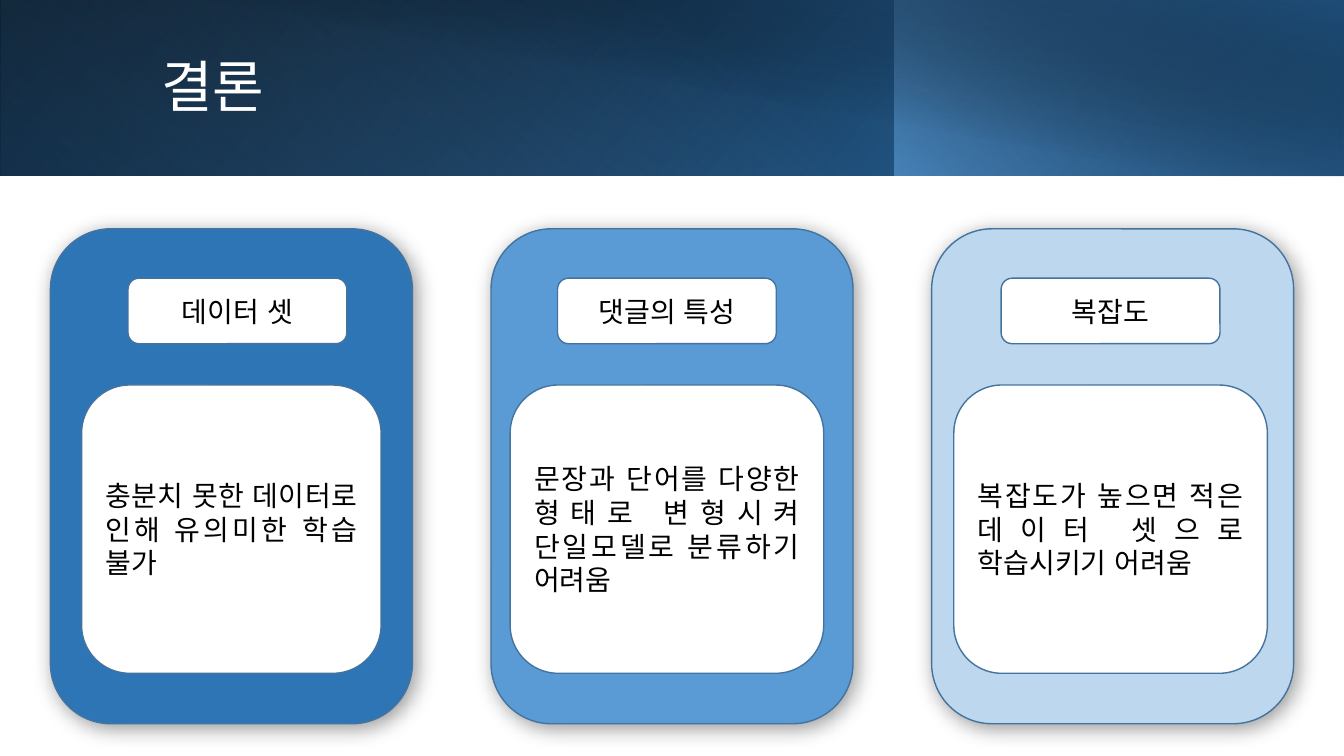
from dataclasses import dataclass

from lxml.etree import SubElement
from pptx import Presentation
from pptx.dml.color import RGBColor
from pptx.enum.lang import MSO_LANGUAGE_ID
from pptx.enum.shapes import MSO_SHAPE
from pptx.enum.text import MSO_ANCHOR, PP_ALIGN
from pptx.oxml import parse_xml
from pptx.oxml.ns import nsdecls, qn
from pptx.util import Inches, Pt


@dataclass(frozen=True)
class Theme:
    font: str = "Noto Sans CJK KR"
    title_size: int = 40
    body_size: int = 20
    white: str = "FFFFFF"
    black: str = "000000"
    outline: str = "43739E"
    navy: str = "1F4E79"
    deep: str = "2E75B6"
    sky: str = "5B9BD5"
    pale: str = "BDD7EE"


class ConclusionSlide:
    def __init__(self, slide, theme):
        self.slide = slide
        self.theme = theme

    def add_text(self, frame, text, size, color, align):
        """Fill a text frame with one styled run."""
        frame.word_wrap = True
        frame.vertical_anchor = MSO_ANCHOR.MIDDLE
        paragraph = frame.paragraphs[0]
        paragraph.alignment = align
        run = paragraph.add_run()
        run.text = text
        run.font.size = Pt(size)
        run.font.color.rgb = RGBColor.from_string(color)
        run.font.name = self.theme.font
        run.font.language_id = MSO_LANGUAGE_ID.KOREAN
        SubElement(run.font._element, qn("a:ea"), typeface=self.theme.font)
        return paragraph

    def title(self, text, box):
        holder = self.slide.shapes.add_textbox(*map(Inches, box))
        paragraph = self.add_text(holder.text_frame, text, self.theme.title_size,
                                  self.theme.white, PP_ALIGN.LEFT)
        paragraph.line_spacing = 0.9

    def gradient_band(self, box, stops, angle, flip=True, rotation=0):
        """Draw a borderless band; stops are (position %, colour, opacity %)."""
        band = self.slide.shapes.add_shape(MSO_SHAPE.RECTANGLE, *map(Inches, box))
        band.shadow.inherit = False
        band.line.fill.background()
        band.rotation = rotation
        properties = band._element.spPr
        if flip:
            properties.find(qn("a:xfrm")).set("flipH", "1")
        stop_xml = "".join(
            f'<a:gs pos="{position * 1000}"><a:srgbClr val="{color}">'
            f'<a:alpha val="{opacity * 1000}"/></a:srgbClr></a:gs>'
            for position, color, opacity in stops)
        properties.find(qn("a:prstGeom")).addnext(parse_xml(
            f'<a:gradFill {nsdecls("a")} rotWithShape="1"><a:gsLst>{stop_xml}</a:gsLst>'
            f'<a:lin ang="{angle * 60000}" scaled="0"/></a:gradFill>'))

    def rounded(self, box, fill):
        panel = self.slide.shapes.add_shape(MSO_SHAPE.ROUNDED_RECTANGLE, *map(Inches, box))
        panel.shadow.inherit = False
        panel.fill.solid()
        panel.fill.fore_color.rgb = RGBColor.from_string(fill)
        panel.line.color.rgb = RGBColor.from_string(self.theme.outline)
        panel.line.width = Pt(1)
        return panel

    def card(self, box, fill):
        """Draw a rounded card with a soft shadow to the lower right."""
        effects = self.rounded(box, fill)._element.spPr.find(qn("a:effectLst"))
        effects.append(parse_xml(
            f'<a:outerShdw {nsdecls("a")} blurRad="{Pt(15)}" dist="{Pt(3)}" '
            f'dir="{45 * 60000}" algn="tl" rotWithShape="0">'
            f'<a:srgbClr val="{self.theme.black}"><a:alpha val="40000"/></a:srgbClr>'
            '</a:outerShdw>'))

    def label(self, text, box, align):
        panel = self.rounded(box, self.theme.white)
        self.add_text(panel.text_frame, text, self.theme.body_size, self.theme.black, align)


def main():
    presentation = Presentation()
    presentation.slide_width = Inches(13.33)
    presentation.slide_height = Inches(7.5)
    theme = Theme()
    page = ConclusionSlide(presentation.slides.add_slide(presentation.slide_layouts[6]), theme)

    # Header: layered gradients under the title
    page.gradient_band((0, 0, 13.33, 1.74),
                       [(0, theme.black, 100), (100, theme.deep, 100)], 140)
    page.gradient_band((0, 0, 8.88, 1.74),
                       [(20, theme.sky, 0), (100, theme.navy, 55)], 230, rotation=180)
    page.gradient_band((8.87, 0, 4.46, 1.74),
                       [(0, theme.sky, 66), (100, theme.black, 30)], 220)
    page.gradient_band((0.5, 0, 12.83, 1.75),
                       [(50, theme.black, 0), (99, theme.navy, 52)], 280, flip=False)
    page.title("결론", (1.5, 0.32, 10.82, 1.13))

    # Cards: colour, heading with its left edge, finding with its left edge and width
    findings = [
        (theme.deep, "데이터 셋", 1.27,
         "충분치 못한 데이터로 인해 유의미한 학습 불가", 0.81, 2.97),
        (theme.sky, "댓글의 특성", 5.53,
         "문장과 단어를 다양한 형태로 변형시켜 단일모델로 분류하기 어려움", 5.06, 3.11),
        (theme.pale, "복잡도", 9.93,
         "복잡도가 높으면 적은 데이터 셋으로 학습시키기 어려움", 9.46, 3.11),
    ]
    card_left, card_pitch = 0.5, 4.37
    for index, (color, heading, heading_left, finding, finding_left, width) in enumerate(findings):
        page.card((card_left + index * card_pitch, 2.27, 3.59, 4.91), color)
        page.label(heading, (heading_left, 2.76, 2.17, 0.65), PP_ALIGN.CENTER)
        page.label(finding, (finding_left, 3.82, width, 2.86), PP_ALIGN.JUSTIFY)

    presentation.save("out.pptx")


if __name__ == "__main__":
    main()
